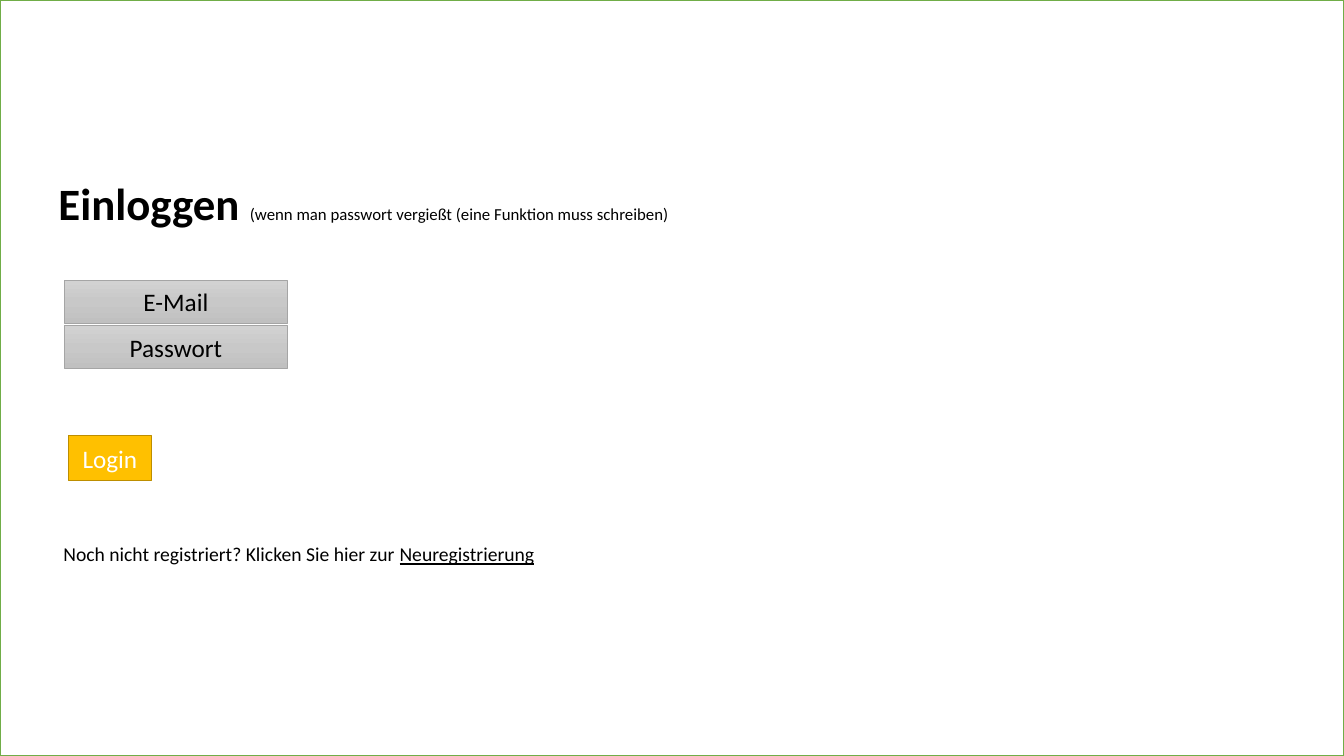
import copy

import pptx
import pptx.dml.color
import pptx.enum.shapes
import pptx.enum.text
import pptx.util

Inches = pptx.util.Inches
Pt = pptx.util.Pt
ALIGN = pptx.enum.text.PP_ALIGN
ANCHOR = pptx.enum.text.MSO_ANCHOR


def rgb(value):
    return pptx.dml.color.RGBColor.from_string(value)


class LoginSlide:
    font = "Calibri"
    black = "000000"

    def __init__(self, prs):
        self.s = prs.slides.add_slide(prs.slide_layouts[5])

    def style(self, r, size, color=black, bold=False, underline=False):
        r.font.name = self.font
        r.font.size = Pt(size)
        r.font.color.rgb = rgb(color)
        r.font.bold = bold
        r.font.underline = underline

    def add_runs(self, sp, parts, wrap=True):
        tf = sp.text_frame
        tf.auto_size = pptx.enum.text.MSO_AUTO_SIZE.NONE
        tf.word_wrap = wrap
        tf.vertical_anchor = ANCHOR.TOP
        p = tf.paragraphs[0]
        p.alignment = ALIGN.LEFT
        for text, look in parts:
            r = p.add_run()
            r.text = text
            self.style(r, **look)

    def title(self, x, y, w, h, parts):
        sp = self.s.shapes.title
        sp.left, sp.top, sp.width, sp.height = map(Inches, (x, y, w, h))
        self.add_runs(sp, parts)

    def text(self, x, y, w, h, parts):
        sp = self.s.shapes.add_textbox(*map(Inches, (x, y, w, h)))
        self.add_runs(sp, parts, wrap=False)

    def rect(self, x, y, w, h, line, weight, fills=()):
        sp = self.s.shapes.add_shape(
            pptx.enum.shapes.MSO_SHAPE.RECTANGLE, *map(Inches, (x, y, w, h)))
        sp.shadow.inherit = False
        sp.line.color.rgb = rgb(line)
        sp.line.width = Pt(weight)
        if len(fills) > 1:
            self.gradient(sp, fills)
        elif fills:
            sp.fill.solid()
            sp.fill.fore_color.rgb = rgb(fills[0])
        else:
            sp.fill.background()
        return sp

    def gradient(self, sp, colors):
        sp.fill.gradient()
        sp.fill.gradient_angle = 270
        stops = sp.element.xpath(".//a:gsLst")[0]
        while len(stops) < len(colors):
            stops.append(copy.deepcopy(stops[-1]))
        for i, (stop, color) in enumerate(zip(sp.fill.gradient_stops, colors)):
            stop.position = i / (len(colors) - 1)
            stop.color.rgb = rgb(color)

    def box(self, x, y, w, h, label, color, line, weight, fills):
        sp = self.rect(x, y, w, h, line, weight, fills)
        tf = sp.text_frame
        tf.text = label
        tf.word_wrap = True
        tf.vertical_anchor = ANCHOR.MIDDLE
        p = tf.paragraphs[0]
        p.alignment = ALIGN.CENTER
        self.style(p.runs[0], 18, color)


prs = pptx.Presentation()
prs.slide_width = Inches(13.33)
prs.slide_height = Inches(7.5)
login = LoginSlide(prs)

login.title(0.48, 1.69, 6.88, 0.64, [
    ("Einloggen ", {"size": 32, "bold": True}),
    ("(wenn man passwort vergießt (eine Funktion muss schreiben)", {"size": 12}),
])
for i, field in enumerate(["E-Mail", "Passwort"]):
    login.box(0.64, 2.78 + i * 0.45, 2.21, 0.43, field, "000000",
              "A5A5A5", 0.5, ["D2D2D2", "C8C8C8", "C0C0C0"])
login.box(0.68, 4.32, 0.82, 0.45, "Login", "FFFFFF", "BD8E00", 1, ["FFC000"])
login.text(0.53, 5.33, 4.91, 0.34, [
    ("Noch nicht registriert? Klicken Sie hier zur ", {"size": 14}),
    ("Neuregistrierung", {"size": 14, "underline": True}),
])
login.rect(0, 0, 13.33, 7.5, "70AD47", 1)

prs.save("out.pptx")
